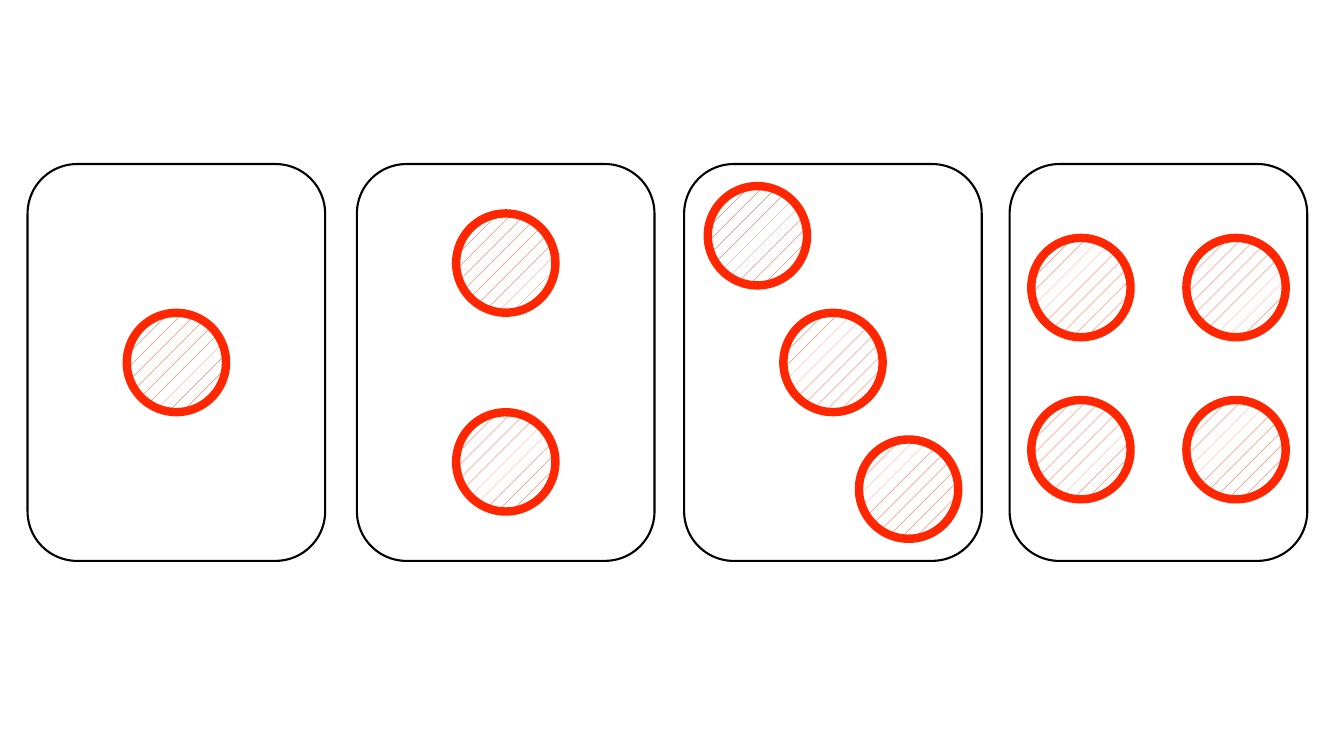
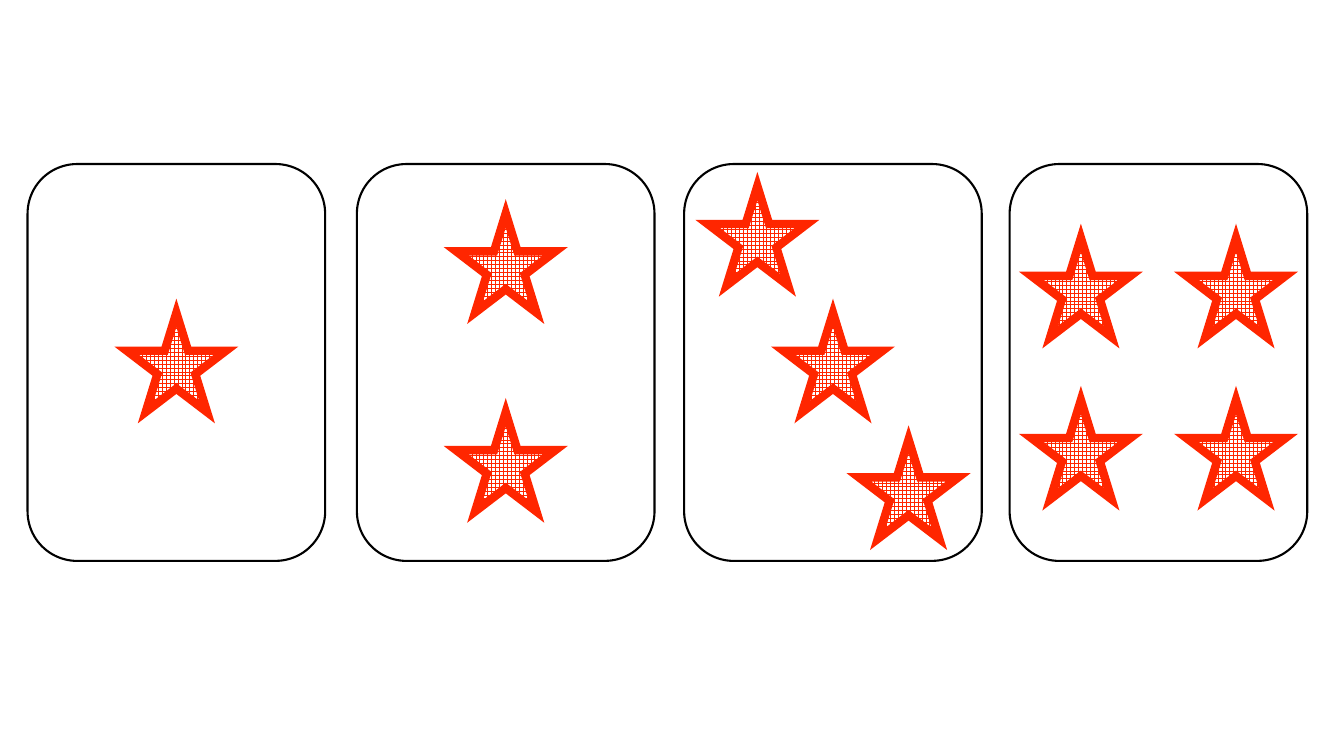
from lxml import etree
from pptx import Presentation
from pptx.dml.color import RGBColor
from pptx.enum import dml, shapes
from pptx.oxml.ns import qn
from pptx.util import Pt

# Colours
RED = RGBColor(0xFF, 0x26, 0x00)
BLACK = RGBColor(0x00, 0x00, 0x00)
WHITE = RGBColor(0xFF, 0xFF, 0xFF)

# Cards: four in a row, all on one centre line
CARD_WIDTH, CARD_HEIGHT = 212.6, 283.5
CARD_CENTRES = (126, 361.25, 595, 827.5)
ROW_CENTRE = 258.9

# Symbols: offsets from the card centre, one set per card
SYMBOL_SIZE = 70.9
SYMBOL_OFFSETS = (
    [(0, 0)],
    [(0, -71), (0, 71)],
    [(-54, -90.5), (0, 0), (54, 90.5)],
    [(x, y) for y in (-53.5, 62.3) for x in (-55.4, 55.4)],
)

# One deck of cards per slide: symbol and its shading
DECKS = (
    (shapes.MSO_SHAPE.OVAL, dml.MSO_PATTERN.PERCENT_5),
    (shapes.MSO_SHAPE.STAR_5_POINT, dml.MSO_PATTERN.LARGE_GRID),
)


def add_centred(slide, kind, centre, size, line_color, line_width):
    """Add an outlined preset shape around a centre point."""
    (x, y), (width, height) = centre, size
    shape = slide.shapes.add_shape(
        kind, Pt(x - width / 2), Pt(y - height / 2), Pt(width), Pt(height))
    shape.shadow.inherit = False
    shape.line.color.rgb = line_color
    shape.line.width = Pt(line_width)
    return shape


def add_card(slide, centre):
    card = add_centred(slide, shapes.MSO_SHAPE.ROUNDED_RECTANGLE, centre,
                       (CARD_WIDTH, CARD_HEIGHT), BLACK, 1.5)
    card.fill.solid()
    card.fill.fore_color.rgb = WHITE


def add_symbol(slide, kind, pattern, centre):
    symbol = add_centred(slide, kind, centre, (SYMBOL_SIZE, SYMBOL_SIZE), RED, 6)
    symbol.fill.patterned()
    symbol.fill.pattern = pattern
    symbol.fill.fore_color.rgb = RED
    symbol.fill.back_color.rgb = WHITE
    # Mitred corners keep the points sharp
    outline = symbol.line._get_or_add_ln()
    etree.SubElement(outline, qn("a:miter"), lim="800000")


def add_deck(slide, kind, pattern):
    """Draw the cards that show one to four symbols."""
    for card_x, offsets in zip(CARD_CENTRES, SYMBOL_OFFSETS):
        add_card(slide, (card_x, ROW_CENTRE))
        for dx, dy in offsets:
            add_symbol(slide, kind, pattern, (card_x + dx, ROW_CENTRE + dy))


def main():
    prs = Presentation()
    prs.slide_width, prs.slide_height = Pt(960), Pt(540)
    blank = prs.slide_layouts.get_by_name("Blank")
    for kind, pattern in DECKS:
        add_deck(prs.slides.add_slide(blank), kind, pattern)
    prs.save("out.pptx")


if __name__ == "__main__":
    main()
